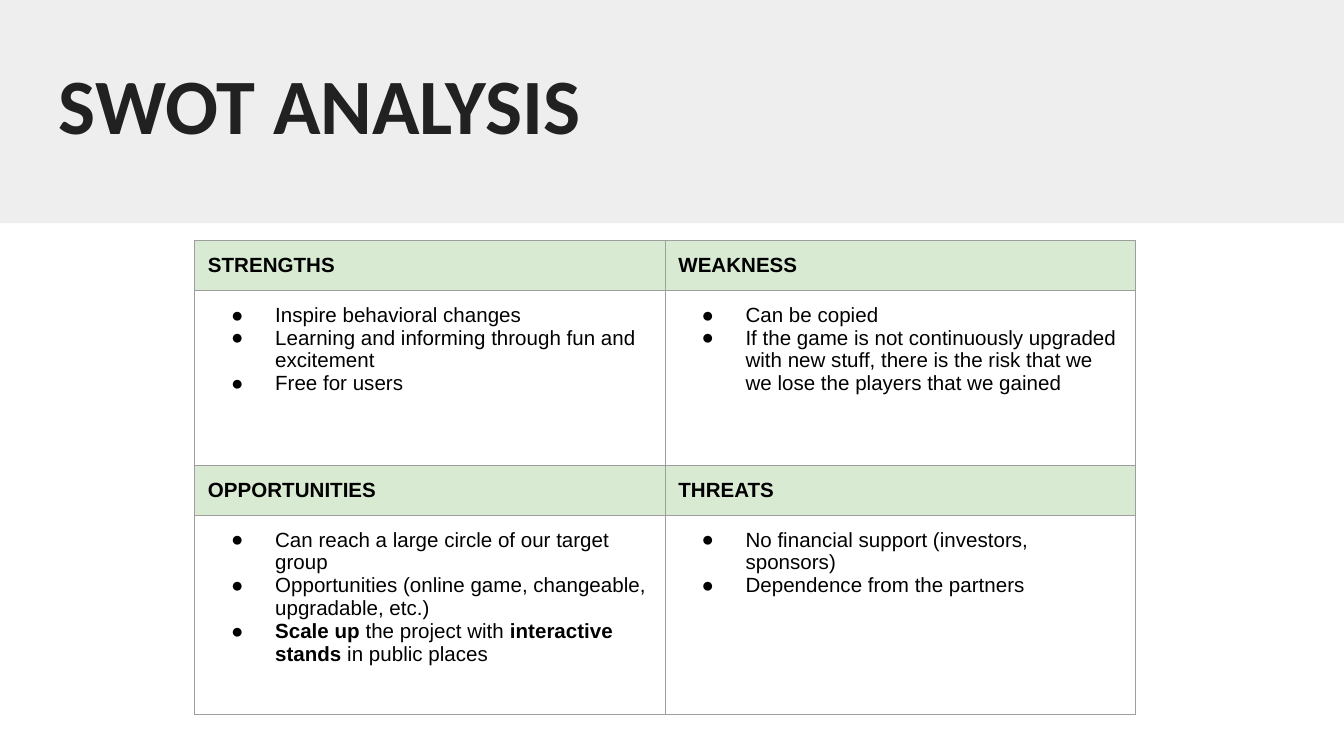
from lxml.etree import SubElement as Sub
from pptx import Presentation as Deck
from pptx.dml.color import RGBColor as Rgb
from pptx.enum.shapes import MSO_SHAPE as Kind
from pptx.enum.text import MSO_ANCHOR as Anchor, PP_ALIGN as Align
from pptx.oxml.ns import qn
from pptx.util import Cm, Pt

BAND = Rgb(0xEE, 0xEE, 0xEE)
DARK = Rgb(0x21, 0x21, 0x21)
BLACK = Rgb(0, 0, 0)
WHITE = Rgb(0xFF, 0xFF, 0xFF)
GREEN = Rgb(0xD9, 0xEA, 0xD3)
GREY = Rgb(0x9E, 0x9E, 0x9E)

HEAD = {"name": "Calibri", "size": Pt(42), "bold": True}
BODY = {"name": "Arial", "size": Pt(11)}
PAD = Cm(0.25)
SIDES = ("left", "right", "top", "bottom")
ROWS = (0.94, 3.31, 0.94, 3.76)
SWOT = (
    (("STRENGTHS", (
        "Inspire behavioral changes",
        "Learning and informing through fun and excitement",
        "Free for users")),
     ("WEAKNESS", (
         "Can be copied",
         "If the game is not continuously upgraded with new stuff, "
         "there is the risk that we we lose the players that we gained"))),
    (("OPPORTUNITIES", (
        "Can reach a large circle of our target group",
        "Opportunities (online game, changeable, upgradable, etc.)",
        "*Scale up* the project with *interactive stands* in public places")),
     ("THREATS", (
         "No financial support (investors, sponsors)",
         "Dependence from the partners"))),
)


def style(item, form):
    """Set each attribute named in a format dict."""
    for key, val in form.items():
        setattr(item, key, val)


def add_run(para, text, color, form):
    """Add a run with its font format."""
    run = para.add_run()
    run.text = text
    style(run.font, form)
    run.font.color.rgb = color


def add_band(slide):
    """Draw the grey band behind the title."""
    band = slide.shapes.add_shape(Kind.RECTANGLE, 0, 0, Cm(25.4), Cm(4.22))
    band.shadow.inherit = False
    band.fill.solid()
    band.fill.fore_color.rgb = BAND
    band.line.fill.background()
    tree = slide.shapes._spTree
    tree.remove(band._element)
    tree.insert(2, band._element)


def set_title(slide, text):
    """Place and format the title."""
    title = slide.shapes.title
    style(title, {"left": Cm(0.86), "top": Cm(0.81),
                  "width": Cm(23.67), "height": Cm(2.24)})
    frame = title.text_frame
    style(frame, {"margin_" + side: PAD for side in SIDES})
    style(frame, {"vertical_anchor": Anchor.TOP, "word_wrap": True})
    para = frame.paragraphs[0]
    para.alignment = Align.LEFT
    add_run(para, text, DARK, HEAD)


def add_dot(para):
    """Give a paragraph a hanging round bullet."""
    props = para._p.get_or_add_pPr()
    props.set("marL", str(Cm(1.27)))
    props.set("indent", str(-Cm(0.83)))
    Sub(Sub(props, qn("a:buClr")), qn("a:srgbClr"), val=str(BLACK))
    Sub(props, qn("a:buFont"), typeface="Arial")
    Sub(props, qn("a:buChar"), char="●")


def add_edges(cell):
    """Draw the four borders of a cell."""
    props = cell._tc.get_or_add_tcPr()
    for spot, tag in enumerate(("a:lnL", "a:lnR", "a:lnT", "a:lnB")):
        line = props.makeelement(qn(tag), {"w": str(Pt(0.75))})
        Sub(Sub(line, qn("a:solidFill")), qn("a:srgbClr"), val=str(GREY))
        props.insert(spot, line)


def fill_cell(cell, lines, fill, head):
    """Write a heading or a bullet list into a cell."""
    style(cell, {"margin_" + side: PAD for side in SIDES})
    cell.vertical_anchor = Anchor.TOP
    cell.fill.solid()
    cell.fill.fore_color.rgb = fill
    add_edges(cell)
    frame = cell.text_frame
    for num, line in enumerate(lines):
        para = frame.add_paragraph() if num else frame.paragraphs[0]
        if not head:
            add_dot(para)
        for part, text in enumerate(line.split("*")):
            if text:
                bold = head or part % 2 == 1
                add_run(para, text, BLACK, {**BODY, "bold": bold})


def add_grid(slide):
    """Build the table of four fields."""
    grid = slide.shapes.add_table(len(ROWS), 2, Cm(3.68), Cm(4.55),
                                  Cm(17.78), Cm(sum(ROWS))).table
    style(grid, {"first_row": False, "horz_banding": False})
    for row, tall in zip(grid.rows, ROWS):
        row.height = Cm(tall)
    for row, pair in enumerate(SWOT):
        for col, (name, items) in enumerate(pair):
            fill_cell(grid.cell(2 * row, col), (name,), GREEN, True)
            fill_cell(grid.cell(2 * row + 1, col), items, WHITE, False)


def main():
    """Build and save the slide."""
    deck = Deck()
    style(deck, {"slide_width": Cm(25.4), "slide_height": Cm(14.29)})
    slide = deck.slides.add_slide(deck.slide_layouts[5])
    add_band(slide)
    set_title(slide, "SWOT ANALYSIS")
    add_grid(slide)
    deck.save("out.pptx")


if __name__ == "__main__":
    main()
